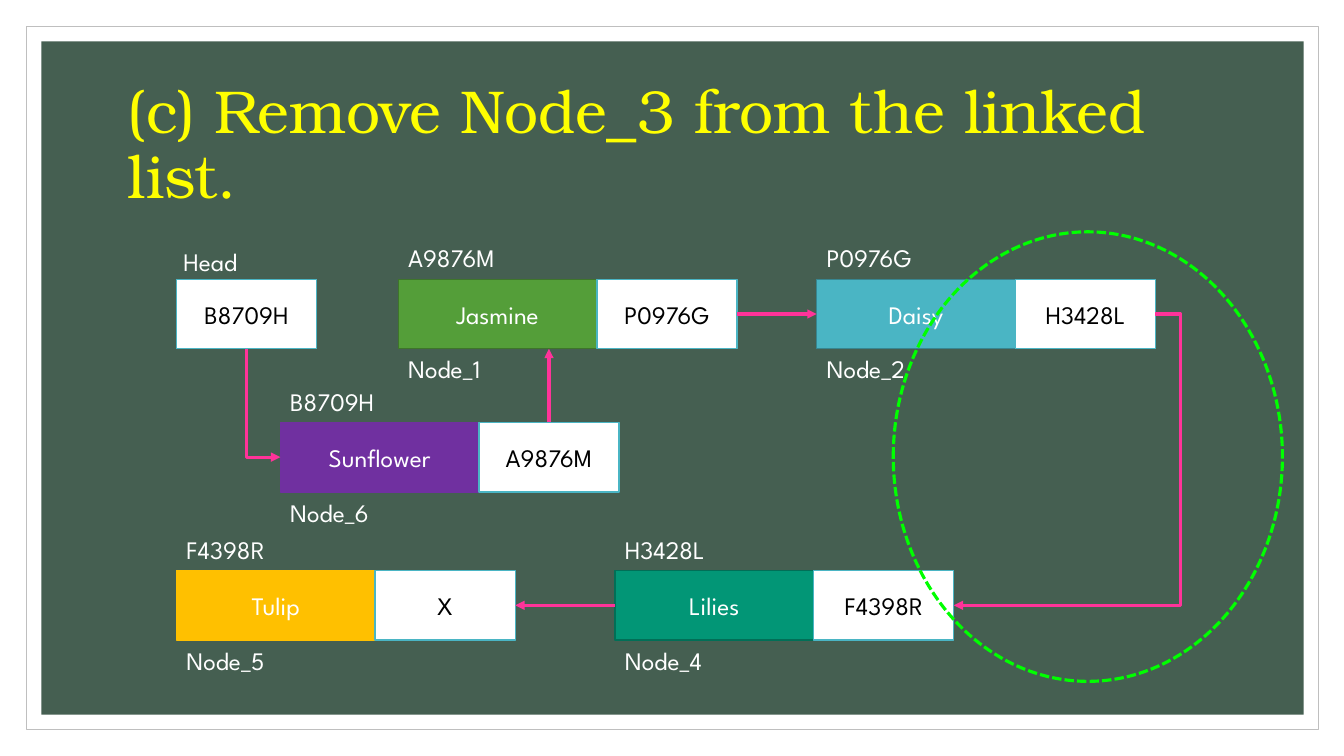
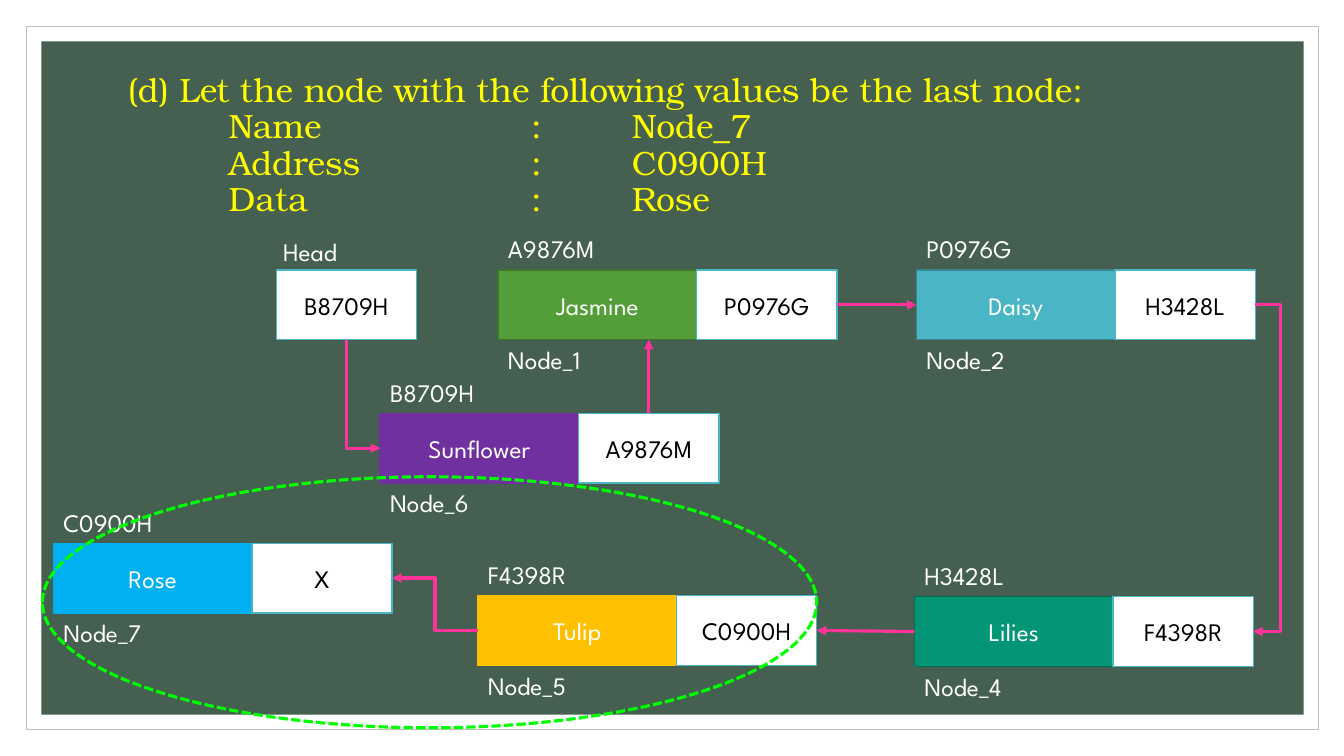
"""Build two slides that edit a linked list of flowers, one node at a time."""
from dataclasses import dataclass

from lxml import etree
from pptx import Presentation
from pptx import util as u
from pptx.dml.color import RGBColor
from pptx.enum import dml, shapes, text
from pptx.oxml import ns


@dataclass(frozen=True)
class Theme:
    board: str = "455F51"
    frame: str = "BFBFBF"
    title: str = "FFFF00"
    light: str = "FFFFFF"
    dark: str = "000000"
    pointer_edge: str = "4AB5C4"
    arrow: str = "FF3399"
    highlight: str = "00FF00"
    title_font: str = "TeX Gyre Bonum"
    body_font: str = "League Spartan"
    body_size: float = 18
    edge: float = 1
    stroke: float = 2.25


THEME = Theme()

NODES = {
    "Node_1": ("A9876M", "Jasmine", "549E39", "3E752A"),
    "Node_2": ("P0976G", "Daisy", "4AB5C4", "378691"),
    "Node_4": ("H3428L", "Lilies", "029676", "016F57"),
    "Node_5": ("F4398R", "Tulip", "FFC000", "FFC000"),
    "Node_6": ("B8709H", "Sunflower", "7030A0", "7030A0"),
    "Node_7": ("C0900H", "Rose", "00B0F0", "00B0F0"),
}
UPPER_ROWS = {"Head": (1.75, 2.77), "Node_6": (2.78, 4.19),
              "Node_1": (3.95, 2.77), "Node_2": (8.1, 2.77)}
SLIDES = [
    {
        "title": ["(c) Remove Node_3 from the linked list."],
        "title_size": 43.2,
        "shift": (0, 0),
        "lower_row": {"Node_4": (6.1, 5.66), "Node_5": (1.75, 5.66)},
        "ellipse": (8.86, 2.3, 3.86, 4.46),
    },
    {
        "title": ["(d) Let the node with the following values be the last node:",
                  "\tName\t:\tNode_7", "\tAddress\t:\tC0900H", "\tData\t:\tRose"],
        "title_size": 24,
        "shift": (0.99, -0.09),
        "lower_row": {"Node_4": (9.07, 5.92), "Node_5": (4.74, 5.91),
                      "Node_7": (0.53, 5.39)},
        "ellipse": (0.42, 4.73, 7.68, 2.49),
    },
]
TITLE_TABS = (1, 4, 5)
DATA_WIDTH, POINTER_WIDTH, ROW_HEIGHT = 1.97, 1.39, 0.69
LABEL_HEIGHT, LABEL_RISE = 0.4, 0.41
BEND = 0.25


def inches(*lengths):
    return [u.Inches(length) for length in lengths]


def write(shape, lines, color=THEME.light, size=THEME.body_size, font=THEME.body_font,
          align=text.PP_ALIGN.LEFT, anchor=text.MSO_ANCHOR.TOP, spacing=None, tabs=()):
    frame = shape.text_frame
    frame.word_wrap = True
    frame.vertical_anchor = anchor
    for number, line in enumerate(lines):
        para = frame.add_paragraph() if number else frame.paragraphs[0]
        para.alignment = align
        if spacing:
            para.line_spacing = spacing
        if tabs:
            stops = etree.SubElement(para._p.get_or_add_pPr(), ns.qn("a:tabLst"))
            for stop in tabs:
                etree.SubElement(stops, ns.qn("a:tab"), pos=str(u.Inches(stop)), algn="l")
        span = para.add_run()
        span.text = line
        span.font.name = font
        span.font.size = u.Pt(size)
        span.font.color.rgb = RGBColor.from_string(color)


def add_label(page, at, lines, **style):
    write(page.shapes.add_textbox(*inches(*at)), lines, **style)


def add_box(page, at, fill=None, line=None, width=THEME.edge,
            kind=shapes.MSO_SHAPE.RECTANGLE):
    box = page.shapes.add_shape(kind, *inches(*at))
    box.shadow.inherit = False
    if fill:
        box.fill.solid()
        box.fill.fore_color.rgb = RGBColor.from_string(fill)
    else:
        box.fill.background()
    if line:
        box.line.color.rgb = RGBColor.from_string(line)
        box.line.width = u.Pt(width)
    else:
        box.line.fill.background()
    return box


def add_cell(page, at, words, fill, line, color):
    write(add_box(page, at, fill, line), [words], color=color,
          align=text.PP_ALIGN.CENTER, anchor=text.MSO_ANCHOR.MIDDLE)


def add_pointer(page, x, y, address):
    add_cell(page, (x, y, POINTER_WIDTH, ROW_HEIGHT), address,
             THEME.light, THEME.pointer_edge, THEME.dark)


def add_node(page, name, x, y, pointer):
    address, data, fill, line = NODES[name]
    add_cell(page, (x, y, DATA_WIDTH, ROW_HEIGHT), data, fill, line, THEME.light)
    add_pointer(page, x + DATA_WIDTH, y, pointer)
    for top, label in ((y - LABEL_RISE, address), (y + ROW_HEIGHT, name)):
        add_label(page, (x, top, DATA_WIDTH, LABEL_HEIGHT), [label])


def add_arrow(page, start, end, bend_x=None):
    kind = shapes.MSO_CONNECTOR.STRAIGHT if bend_x is None else shapes.MSO_CONNECTOR.ELBOW
    arrow = page.shapes.add_connector(kind, *inches(*start, *end))
    arrow.line.color.rgb = RGBColor.from_string(THEME.arrow)
    arrow.line.width = u.Pt(THEME.stroke)
    etree.SubElement(arrow.line._get_or_add_ln(), ns.qn("a:tailEnd"), type="triangle")
    properties = arrow._element.spPr
    etree.SubElement(properties, ns.qn("a:effectLst"))
    if bend_x is not None:
        ratio = round((bend_x - start[0]) / (end[0] - start[0]) * 100000)
        guides = properties.find(ns.qn("a:prstGeom")).get_or_add_avLst()
        etree.SubElement(guides, ns.qn("a:gd"), name="adj1", fmla=f"val {ratio}")


def left_of(spot):
    return spot[0], spot[1] + ROW_HEIGHT / 2


def right_of(spot):
    return spot[0] + DATA_WIDTH + POINTER_WIDTH, spot[1] + ROW_HEIGHT / 2


def add_links(page, spots):
    head_x = spots["Head"][0] + POINTER_WIDTH / 2
    add_arrow(page, (head_x, spots["Head"][1] + ROW_HEIGHT), left_of(spots["Node_6"]), head_x)
    rise_x = spots["Node_6"][0] + DATA_WIDTH + POINTER_WIDTH / 2
    add_arrow(page, (rise_x, spots["Node_6"][1]), (rise_x, spots["Node_1"][1] + ROW_HEIGHT))
    add_arrow(page, right_of(spots["Node_1"]), left_of(spots["Node_2"]))
    turn = right_of(spots["Node_2"])
    add_arrow(page, turn, right_of(spots["Node_4"]), turn[0] + BEND)
    add_arrow(page, left_of(spots["Node_4"]), right_of(spots["Node_5"]))
    if "Node_7" in spots:
        start, end = left_of(spots["Node_5"]), right_of(spots["Node_7"])
        add_arrow(page, start, end, (start[0] + end[0]) / 2)


def add_list(page, spots):
    chain = [name for name in spots if name != "Head"]
    addresses = [NODES[name][0] for name in chain]
    x, y = spots["Head"]
    add_pointer(page, x, y, addresses[0])
    add_label(page, (x - 0.03, y - 0.38, POINTER_WIDTH, LABEL_HEIGHT), ["Head"])
    for name, pointer in zip(chain, addresses[1:] + ["X"]):
        add_node(page, name, *spots[name], pointer)
    add_links(page, spots)


def add_slide(deck, content):
    page = deck.slides.add_slide(deck.slide_layouts[6])
    add_box(page, (0.26, 0.26, 12.82, 6.98), THEME.light, THEME.frame, 0.5)
    add_box(page, (0.41, 0.41, 12.52, 6.68), THEME.board)
    lines = content["title"]
    add_label(page, (1.17, 0.7, 11, 1.5), lines, color=THEME.title,
              size=content["title_size"], font=THEME.title_font,
              anchor=text.MSO_ANCHOR.MIDDLE, spacing=0.9,
              tabs=TITLE_TABS if len(lines) > 1 else ())
    across, down = content["shift"]
    spots = {name: (x + across, y + down) for name, (x, y) in UPPER_ROWS.items()}
    add_list(page, spots | content["lower_row"])
    ellipse = add_box(page, content["ellipse"], line=THEME.highlight,
                      width=THEME.stroke, kind=shapes.MSO_SHAPE.OVAL)
    ellipse.line.dash_style = dml.MSO_LINE.SQUARE_DOT


def main():
    deck = Presentation()
    deck.slide_width, deck.slide_height = inches(13.33, 7.5)
    for content in SLIDES:
        add_slide(deck, content)
    deck.save("out.pptx")


if __name__ == "__main__":
    main()
